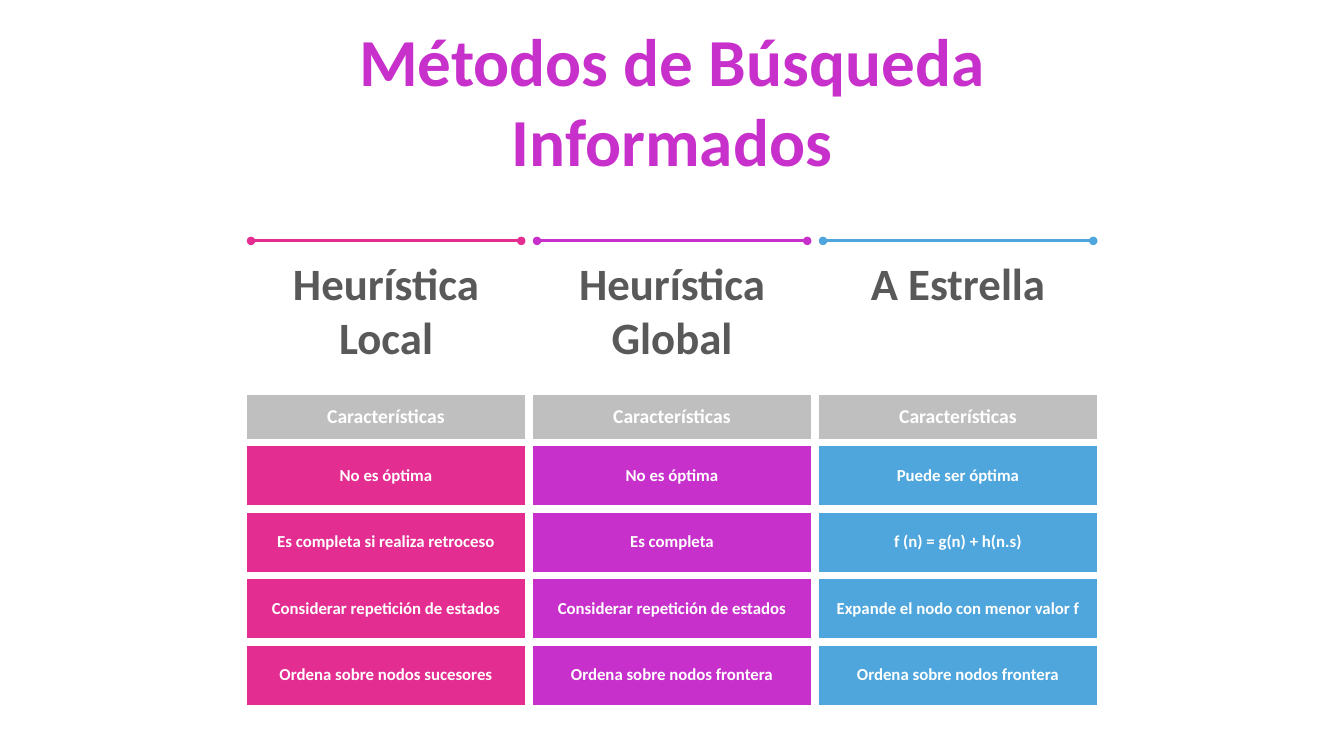
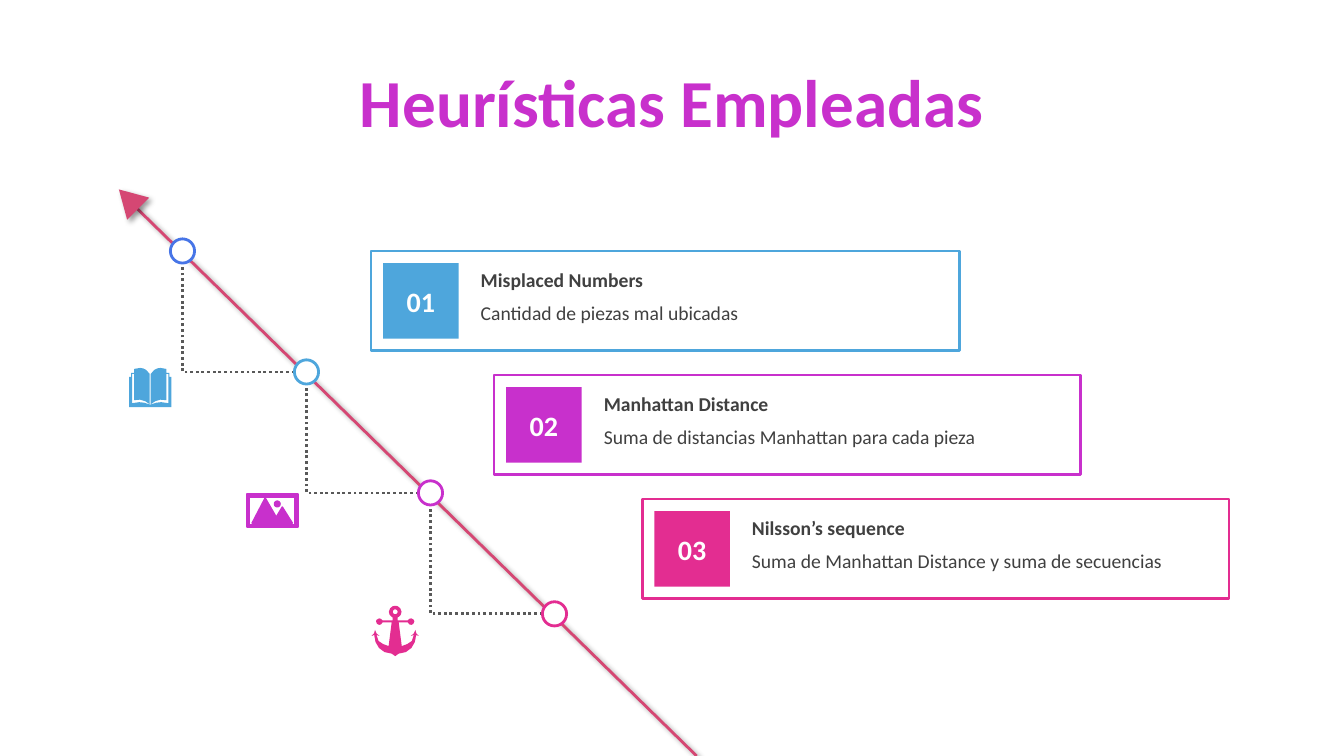
import math
from typing import NamedTuple

from pptx import Presentation
from pptx.dml.color import RGBColor
from pptx.enum import dml, shapes, text
from pptx.oxml import parse_xml
from pptx.oxml.ns import nsdecls, qn
from pptx.util import Inches, Pt

FONT = "Calibri"
PINK = RGBColor(0xE3, 0x2D, 0x91)
PURPLE = RGBColor(0xC8, 0x30, 0xCC)
SKY = RGBColor(0x4E, 0xA6, 0xDC)
BLUE = RGBColor(0x47, 0x75, 0xE7)
RED = RGBColor(0xD5, 0x47, 0x73)
DARK = RGBColor(0x40, 0x40, 0x40)
GREY = RGBColor(0x59, 0x59, 0x59)
SILVER = RGBColor(0xBF, 0xBF, 0xBF)
WHITE = RGBColor(0xFF, 0xFF, 0xFF)

RECT = shapes.MSO_SHAPE.RECTANGLE
CENTER = text.PP_ALIGN.CENTER
LEFT = text.PP_ALIGN.LEFT
STRAIGHT = shapes.MSO_CONNECTOR.STRAIGHT

Points = list[tuple[float, float]]


class Method(NamedTuple):
    name: str
    color: RGBColor
    features: list[str]


class Card(NamedTuple):
    number: str
    heading: str
    body: str
    color: RGBColor
    left: float
    width: float


METHODS = [
    Method("Heurística Local", PINK, [
        "No es óptima", "Es completa si realiza retroceso",
        "Considerar repetición de estados", "Ordena sobre nodos sucesores"]),
    Method("Heurística Global", PURPLE, [
        "No es óptima", "Es completa",
        "Considerar repetición de estados", "Ordena sobre nodos frontera"]),
    Method("A Estrella", SKY, [
        "Puede ser óptima", "f (n) = g(n) + h(n.s)",
        "Expande el nodo con menor valor f", "Ordena sobre nodos frontera"]),
]
CARDS = [
    Card("01", "Misplaced Numbers", "Cantidad de piezas mal ubicadas", SKY, 3.68, 5.84),
    Card("02", "Manhattan Distance", "Suma de distancias Manhattan para cada pieza",
         PURPLE, 4.9, 5.82),
    Card("03", "Nilsson’s sequence", "Suma de Manhattan Distance y suma de secuencias",
         PINK, 6.37, 5.82),
]


def add_run(p, content: str, size: float, color: RGBColor, bold: bool = True, align=CENTER):
    p.alignment = align
    r = p.add_run()
    r.text = content
    f = r.font
    f.name, f.size, f.bold = FONT, Pt(size), bold
    f.color.rgb = color


def add_title_slide(prs, title: str, top: float, height: float):
    s = prs.slides.add_slide(prs.slide_layouts[5])
    sp = s.shapes.title
    sp.left, sp.top, sp.width, sp.height = map(Inches, (2.95, top, 7.43, height))
    tf = sp.text_frame
    tf.auto_size = text.MSO_AUTO_SIZE.NONE
    tf.vertical_anchor = text.MSO_ANCHOR.MIDDLE
    add_run(tf.paragraphs[0], title, 48, PURPLE)
    return s


def add_text_box(s, left: float, top: float, width: float, height: float):
    tf = s.shapes.add_textbox(*map(Inches, (left, top, width, height))).text_frame
    tf.word_wrap = True
    return tf


def paint(sp, fill: RGBColor, line: RGBColor | None = None, width: float = 2):
    sp.shadow.inherit = False
    sp.fill.solid()
    sp.fill.fore_color.rgb = fill
    if line is None:
        sp.line.fill.background()
    else:
        sp.line.color.rgb = line
        sp.line.width = Pt(width)


def add_box(s, kind, left: float, top: float, width: float, height: float,
            fill: RGBColor, line: RGBColor | None = None):
    sp = s.shapes.add_shape(kind, *map(Inches, (left, top, width, height)))
    paint(sp, fill, line)
    return sp


def add_line(s, kind, x1: float, y1: float, x2: float, y2: float, color: RGBColor):
    cxn = s.shapes.add_connector(kind, *map(Inches, (x1, y1, x2, y2)))
    cxn.line.color.rgb = color
    cxn.line.width = Pt(2)
    spPr = cxn._element.spPr
    spPr.append(parse_xml(f"<a:effectLst {nsdecls('a')}/>"))
    return cxn


def cast_shadow(sp):
    """Put a soft lower-right shadow in the shape's empty effect list."""
    sp._element.spPr.find(qn("a:effectLst")).append(parse_xml(
        f'<a:outerShdw {nsdecls("a")} blurRad="50800" dist="38100" dir="2700000" algn="tl" '
        'rotWithShape="0"><a:srgbClr val="000000"><a:alpha val="40000"/></a:srgbClr>'
        '</a:outerShdw>'))


def set_cell(cell, content: str, size: float, fill: RGBColor):
    cell.fill.solid()
    cell.fill.fore_color.rgb = fill
    cell.vertical_anchor = text.MSO_ANCHOR.MIDDLE
    add_run(cell.text_frame.paragraphs[0], content, size, WHITE)
    tcPr = cell._tc.get_or_add_tcPr()
    for i, side in enumerate("LRTB"):
        tcPr.insert(i, parse_xml(
            f'<a:ln{side} {nsdecls("a")} w="76200"><a:solidFill><a:srgbClr val="{WHITE}"/>'
            f'</a:solidFill></a:ln{side}>'))


def flip(points: Points) -> Points:
    return [(-x, y) for x, y in reversed(points)]


def circle(x: float, y: float, radius: float) -> Points:
    angles = [math.tau * i / 24 for i in range(24)]
    return [(x + radius * math.cos(a), y + radius * math.sin(a)) for a in angles]


def rectangle(left: float, top: float, right: float, bottom: float) -> Points:
    return [(left, top), (right, top), (right, bottom), (left, bottom)]


def add_icon(s, left: float, top: float, contours: list[Points], color: RGBColor,
             line: RGBColor | None = None):
    """Draw closed contours given in hundredths of an inch from (left, top)."""
    def place(point):
        return Inches(left + point[0] / 100), Inches(top + point[1] / 100)

    start = place(contours[0][0])
    fb = s.shapes.build_freeform(*start)
    for i, contour in enumerate(contours):
        if i:
            fb.move_to(*place(contour[0]))
        fb.add_line_segments([place(pt) for pt in contour[1:]], close=True)
    paint(fb.convert_to_shape(), color, line, 1)


def add_book(s):
    page = [(0.5, 6), (4, 2), (7, 0.5), (10, 0), (16, 1), (16, 32), (10, 31.5),
            (5, 33), (0.5, 36)]
    cover = [(0, 36.5), (6, 34.5), (11, 34), (18, 35), (18, 6), (16, 6), (16, 5),
             (19, 5), (19, 9), (21, 9), (21, 39), (0, 39)]
    add_icon(s, 1.49, 3.65, [page, flip(page), cover + flip(cover)], SKY)


def add_landscape(s):
    peaks = [(18, 4), (29, 23), (35, 13), (45, 29), (5, 29)]
    add_icon(s, 2.45, 4.9, [rectangle(0, 0, 50.5, 33), rectangle(2.5, 3, 47.5, 31),
                            peaks, circle(30, 10, 2.8)], PURPLE, PURPLE)


def add_anchor(s):
    half = [(0, 0), (2.5, 0.5), (5, 2.5), (6.3, 6), (5.5, 9), (3.5, 11), (2.5, 11.5),
            (2.5, 14.5), (12.5, 14.5), (14, 13), (16, 12.5), (18.5, 14), (19, 15.5),
            (18, 18), (16, 19), (14, 18.5), (12.5, 16.5), (3.5, 16.5), (6.5, 40),
            (12, 38), (16.5, 35), (18.5, 29), (15.5, 30), (18.5, 27.5), (20, 24),
            (21, 27.5), (23.5, 30), (20.8, 29), (19.5, 36), (16, 42), (10.5, 46),
            (3.5, 47.5), (0, 50)]
    add_icon(s, 3.92, 6.01, [half + flip(half), circle(0, 6, 2.4)], PINK)


def build_methods(prs):
    s = add_title_slide(prs, "Métodos de Búsqueda Informados", 0.13, 1.72)
    pitch = 8.51 / len(METHODS)
    for i, method in enumerate(METHODS):
        x = 2.49 + i * pitch
        tf = add_text_box(s, x + 0.22, 2.49, 2.24, 1.18)
        add_run(tf.paragraphs[0], method.name, 32, GREY)
        cxn = add_line(s, STRAIGHT, x, 2.39, x + 2.68, 2.39, method.color)
        ln = cxn._element.spPr.find(qn("a:ln"))
        for end in ("headEnd", "tailEnd"):
            ln.append(parse_xml(f'<a:{end} {nsdecls("a")} type="oval"/>'))

    rows = 1 + len(METHODS[0].features)
    table = s.shapes.add_table(rows, len(METHODS), Inches(2.41), Inches(3.88),
                               Inches(8.51), Inches(3.16)).table
    table.first_row = table.horz_banding = False
    for i, row in enumerate(table.rows):
        row.height = Inches(0.66 if i else 0.51)
    for col, method in enumerate(METHODS):
        set_cell(table.cell(0, col), "Características", 14, SILVER)
        for row, feature in enumerate(method.features, 1):
            set_cell(table.cell(row, col), feature, 12, method.color)


def add_card(s, card: Card, top: float):
    add_box(s, RECT, card.left, top, card.width, 0.99, WHITE, card.color)
    badge = add_box(s, RECT, card.left + 0.12, top + 0.12, 0.75, 0.75, card.color)
    tf = badge.text_frame
    tf.vertical_anchor = text.MSO_ANCHOR.MIDDLE
    add_run(tf.paragraphs[0], card.number, 20, WHITE)
    tf = add_text_box(s, card.left + 0.99, top + 0.12, 4.74, 0.68)
    add_run(tf.paragraphs[0], card.heading, 14, DARK, align=LEFT)
    p = tf.add_paragraph()
    p.space_before = Pt(7)
    add_run(p, card.body, 14, DARK, bold=False, align=LEFT)


def add_stairs(s):
    """Draw the diagonal arrow, its round markers and the dotted steps between them."""
    cast_shadow(add_line(s, STRAIGHT, 6.91, 7.5, 1.33, 2.04, RED))
    tip = add_box(s, shapes.MSO_SHAPE.ISOSCELES_TRIANGLE, 1.12, 1.84, 0.31, 0.27, RED)
    tip.rotation = 315
    cast_shadow(tip)

    size, step_x, step_y = 0.24, 1.23, 1.2
    colors = [BLUE, SKY, PURPLE, PINK]
    spots = [(1.69 + i * step_x, 2.37 + i * step_y) for i in range(len(colors))]
    for x, y in spots[:-1]:
        cxn = add_line(s, shapes.MSO_CONNECTOR.ELBOW, x + size / 2, y + size,
                       x + step_x, y + step_y + size / 2, GREY)
        cxn.line.dash_style = dml.MSO_LINE.ROUND_DOT
        spPr = cxn._element.spPr
        spPr.find(qn("a:prstGeom")).set("prst", "bentConnector2")
        spPr.find(qn("a:xfrm")).set("rot", "10800000")
    for (x, y), color in zip(spots, colors):
        add_box(s, shapes.MSO_SHAPE.OVAL, x, y, size, size, WHITE, color)


def build_heuristics(prs):
    s = add_title_slide(prs, "Heurísticas Empleadas", 0.54, 0.91)
    for i, card in enumerate(CARDS):
        add_card(s, card, 2.49 + i * 1.23)
    add_stairs(s)
    add_book(s)
    add_landscape(s)
    add_anchor(s)


def main():
    prs = Presentation()
    prs.slide_width, prs.slide_height = Inches(13.33), Inches(7.5)
    build_methods(prs)
    build_heuristics(prs)
    prs.save("out.pptx")


if __name__ == "__main__":
    main()
